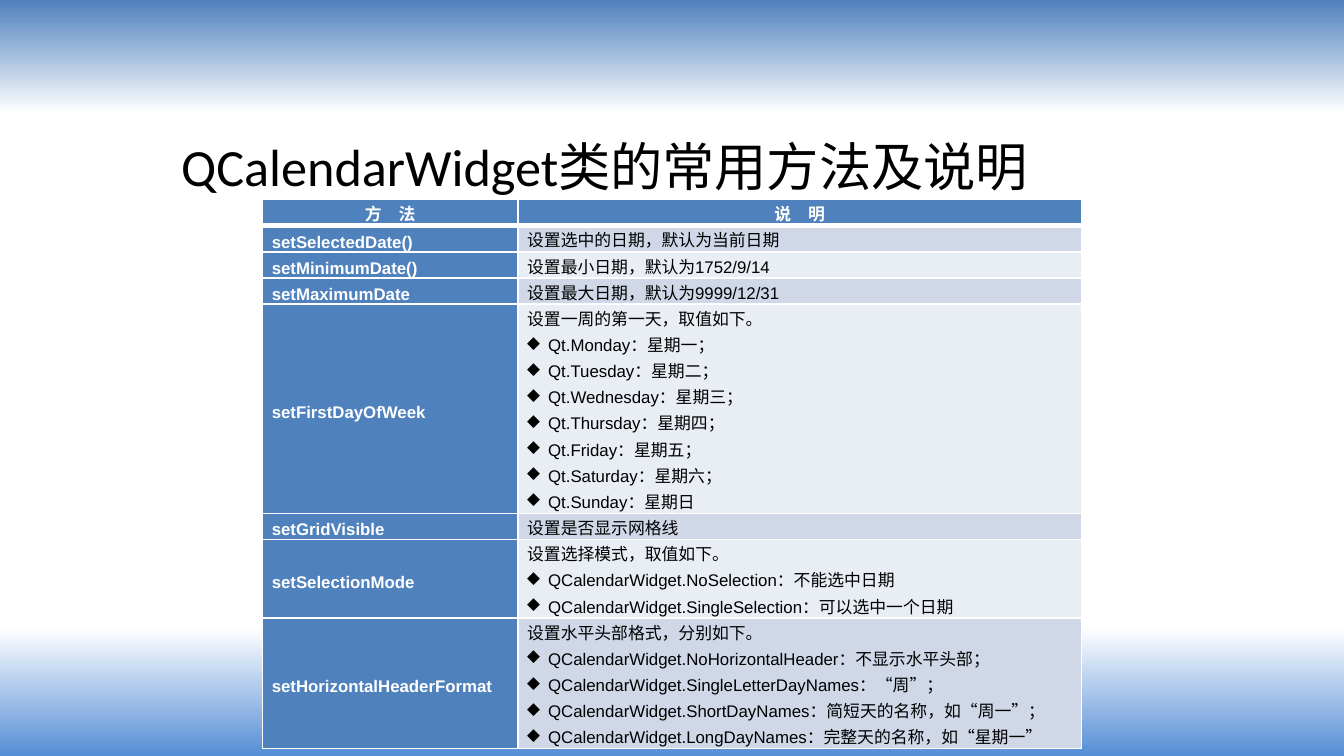
from copy import deepcopy

from lxml.etree import SubElement
from pptx import Presentation
from pptx.dml.color import RGBColor
from pptx.enum.text import MSO_ANCHOR, PP_ALIGN
from pptx.oxml.ns import qn
from pptx.util import Pt

COLOURS = {
    "blue": "4F81BD", "sky": "558ED5", "white": "FFFFFF",
    "black": "000000", "dark_band": "D0D8E8", "light_band": "E9EDF4",
}
BACKGROUND_STOPS = [(0, "blue"), (0.15, "white"), (0.83, "white"), (1, "sky")]
LINE_HEIGHT = 14
BULLET_INDENT = 11.25

HEADER = ("方　法", "说　明")
# Each method has its description, then the bulleted values it accepts.
METHODS = [
    ("setSelectedDate()", ["设置选中的日期，默认为当前日期"]),
    ("setMinimumDate()", ["设置最小日期，默认为1752/9/14"]),
    ("setMaximumDate", ["设置最大日期，默认为9999/12/31"]),
    ("setFirstDayOfWeek", [
        "设置一周的第一天，取值如下。",
        "Qt.Monday：星期一；",
        "Qt.Tuesday：星期二；",
        "Qt.Wednesday：星期三；",
        "Qt.Thursday：星期四；",
        "Qt.Friday：星期五；",
        "Qt.Saturday：星期六；",
        "Qt.Sunday：星期日",
    ]),
    ("setGridVisible", ["设置是否显示网格线"]),
    ("setSelectionMode", [
        "设置选择模式，取值如下。",
        "QCalendarWidget.NoSelection：不能选中日期",
        "QCalendarWidget.SingleSelection：可以选中一个日期",
    ]),
    ("setHorizontalHeaderFormat", [
        "设置水平头部格式，分别如下。",
        "QCalendarWidget.NoHorizontalHeader：不显示水平头部；",
        "QCalendarWidget.SingleLetterDayNames：“周”；",
        "QCalendarWidget.ShortDayNames：简短天的名称，如“周一”；",
        "QCalendarWidget.LongDayNames：完整天的名称，如“星期一”",
    ]),
]


def colour(name):
    return RGBColor.from_string(COLOURS[name])


def apply(target, values):
    for name, value in values.items():
        setattr(target, name, value)


class SlideBuilder:
    title_font = {"name": "Calibri", "size": Pt(28), "bold": False}
    table_font = {"name": "Arial", "size": Pt(9)}
    cell_format = {
        "vertical_anchor": MSO_ANCHOR.MIDDLE,
        "margin_left": Pt(5), "margin_right": Pt(5),
        "margin_top": 0, "margin_bottom": 0,
    }

    def __init__(self, slide):
        self.slide = slide

    def background(self, stops):
        fill = self.slide.background.fill
        fill.gradient()
        fill.gradient_angle = 270
        stop_list = self.slide.element.find(".//" + qn("a:gsLst"))
        while len(stop_list) < len(stops):
            stop_list.append(deepcopy(stop_list[0]))
        for stop, (position, name) in zip(fill.gradient_stops, stops):
            stop.position = position
            stop.color.rgb = colour(name)

    def title(self, text, left, top, width, height):
        shape = self.slide.shapes.add_textbox(Pt(left), Pt(top), Pt(width), Pt(height))
        apply(shape.text_frame, {"word_wrap": True, "vertical_anchor": MSO_ANCHOR.MIDDLE})
        paragraph = shape.text_frame.paragraphs[0]
        paragraph.text = text
        apply(paragraph.font, self.title_font)
        paragraph.font.color.rgb = colour("black")

    def table(self, header, methods, left, top, widths):
        line_counts = [1] + [len(lines) for _, lines in methods]
        table = self.slide.shapes.add_table(
            len(line_counts), len(widths), Pt(left), Pt(top),
            Pt(sum(widths)), Pt(LINE_HEIGHT * sum(line_counts))).table
        for column, width in zip(table.columns, widths):
            column.width = Pt(width)
        for row, count in zip(table.rows, line_counts):
            row.height = Pt(LINE_HEIGHT * count)
        for column, text in enumerate(header):
            self.cell(table.cell(0, column), [text], "blue", "white",
                      PP_ALIGN.CENTER, bottom=3)
        for row, (method, lines) in enumerate(methods, 1):
            band = "dark_band" if row % 2 else "light_band"
            line_above = 3 if row == 1 else 1
            self.cell(table.cell(row, 0), [method], "blue", "white", top=line_above)
            self.cell(table.cell(row, 1), lines, band, "black", top=line_above)

    def cell(self, cell, lines, fill, text_colour,
             alignment=PP_ALIGN.JUSTIFY, top=1, bottom=1):
        """Fill a cell; every line after the first gets a bullet."""
        apply(cell, self.cell_format)
        self.borders(cell, {"lnL": 1, "lnR": 1, "lnT": top, "lnB": bottom})
        cell.fill.solid()
        cell.fill.fore_color.rgb = colour(fill)
        cell.text = "\n".join(lines)
        for index, paragraph in enumerate(cell.text_frame.paragraphs):
            apply(paragraph, {"alignment": alignment, "line_spacing": Pt(LINE_HEIGHT)})
            if index:
                self.bullet(paragraph)
            apply(paragraph.font, self.table_font)
            paragraph.font.bold = text_colour == "white"
            paragraph.font.color.rgb = colour(text_colour)

    def borders(self, cell, widths):
        properties = cell._tc.get_or_add_tcPr()
        for side, width in widths.items():
            line = SubElement(properties, qn("a:" + side), w=str(Pt(width)))
            solid = SubElement(line, qn("a:solidFill"))
            SubElement(solid, qn("a:srgbClr"), val=COLOURS["white"])

    def bullet(self, paragraph):
        properties = paragraph._p.get_or_add_pPr()
        properties.set("marL", str(Pt(BULLET_INDENT)))
        properties.set("indent", str(-Pt(BULLET_INDENT)))
        SubElement(properties, qn("a:buChar"), char="◆")


def main():
    presentation = Presentation()
    presentation.slide_width = Pt(720)
    presentation.slide_height = Pt(405)
    builder = SlideBuilder(presentation.slides.add_slide(presentation.slide_layouts[6]))
    builder.background(BACKGROUND_STOPS)
    builder.title("QCalendarWidget类的常用方法及说明", 90, 64.8, 563.8, 48.2)
    builder.table(HEADER, METHODS, 140.6, 106.8, (136.8, 301.9))
    presentation.save("out.pptx")


if __name__ == "__main__":
    main()
